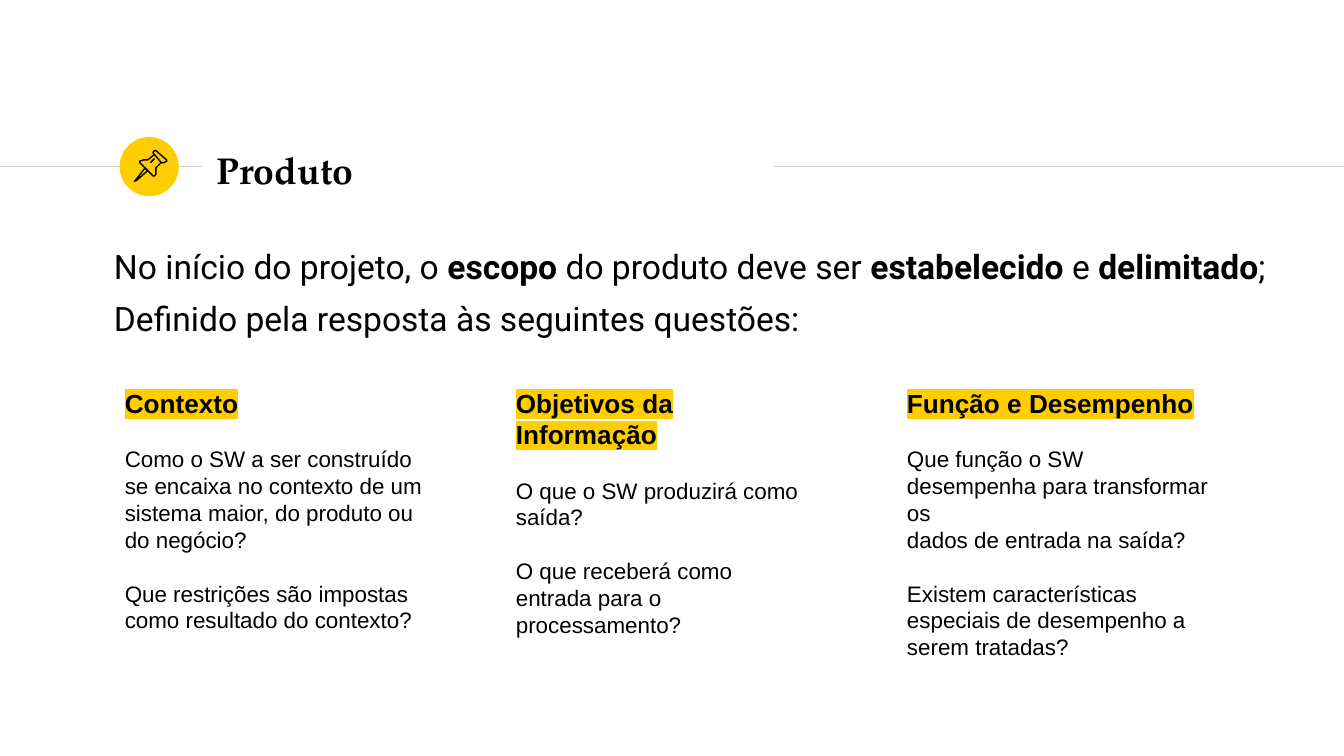
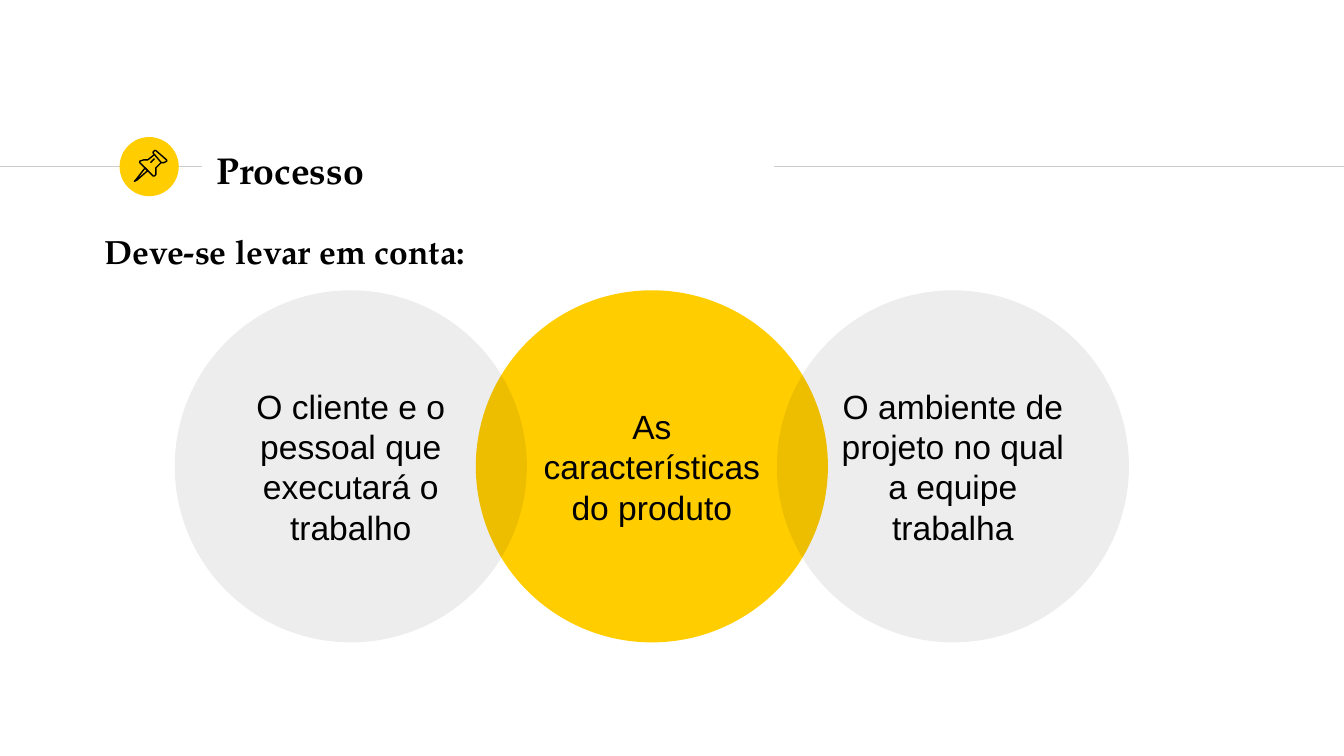
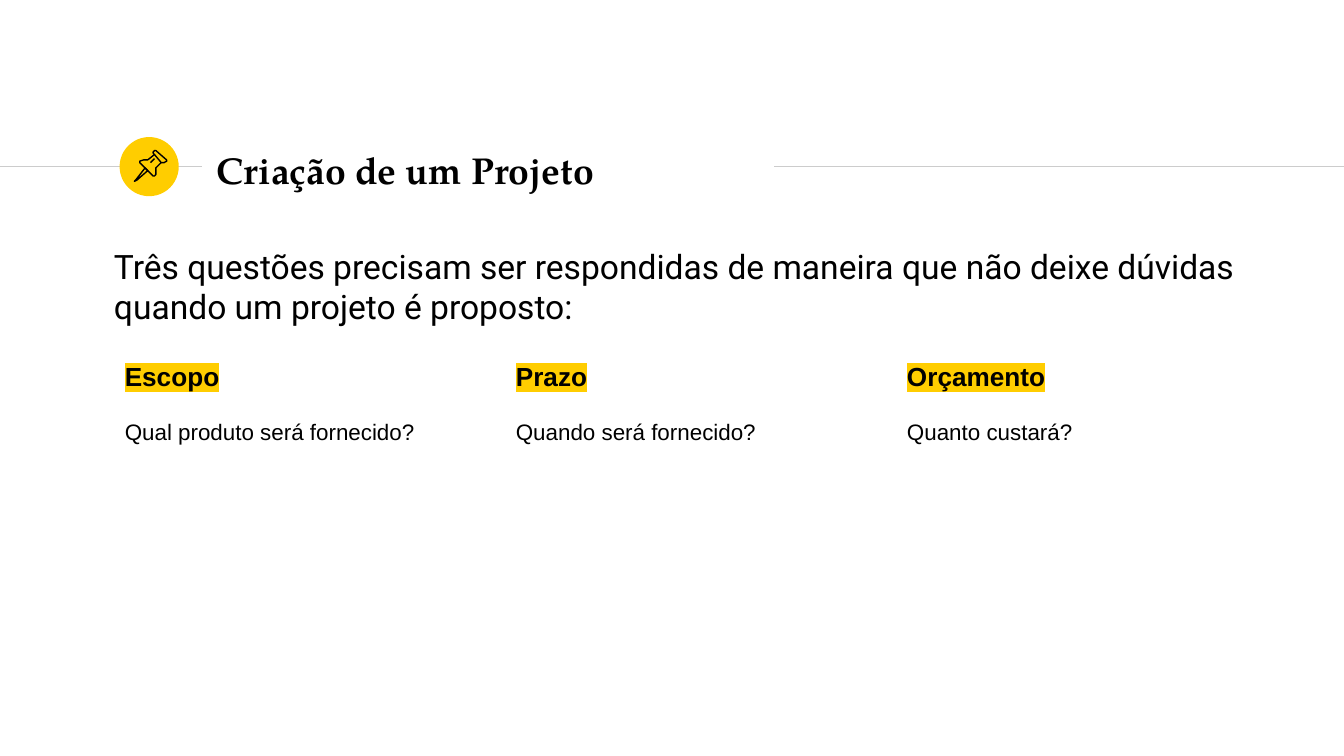
import pptx
import pptx.util
import pptx.dml.color
import pptx.enum.shapes
import pptx.enum.text
import lxml.etree
from pptx.util import Inches

COLORS = {"ink": "000000", "accent": "FFCD00", "rule": "CCCCCC"}
SERIF, SANS, LEAD = "TeX Gyre Pagella", "Arial", "Roboto"
DRAWING = "{http://schemas.openxmlformats.org/drawingml/2006/main}"
ALIGN = pptx.enum.text.PP_ALIGN
ANCHOR = pptx.enum.text.MSO_ANCHOR
OVAL = pptx.enum.shapes.MSO_SHAPE.OVAL


def color(name):
    return pptx.dml.color.RGBColor.from_string(COLORS[name])


def write(box, text, font=SANS, size=12, bold=False, highlight=None, before=0,
          align=ALIGN.LEFT, anchor=ANCHOR.TOP):
    """Add one paragraph to a box; parts between asterisks are bold."""
    frame = box.text_frame
    frame.word_wrap = True
    frame.auto_size = pptx.enum.text.MSO_AUTO_SIZE.NONE
    frame.vertical_anchor = anchor
    frame.margin_left = frame.margin_right = Inches(0.1)
    frame.margin_top = frame.margin_bottom = Inches(0.1)
    para = frame.add_paragraph() if frame.text else frame.paragraphs[0]
    para.alignment = align
    para.space_before = pptx.util.Pt(before)
    for index, part in enumerate(text.split("*")):
        span = para.add_run()
        span.text = part
        span.font.name = font
        span.font.size = pptx.util.Pt(size)
        span.font.bold = bold or index % 2 == 1
        span.font.color.rgb = color("ink")
        if highlight:
            mark = lxml.etree.Element(DRAWING + "highlight")
            lxml.etree.SubElement(mark, DRAWING + "srgbClr", val=COLORS[highlight])
            span.font.fill._xPr.find(DRAWING + "solidFill").addnext(mark)


# Pushpin outlines in hundredths of an inch: points, closed
PIN = [
    ([(108, 125), (101, 134), (100, 135), (102, 134), (110, 127)], True),
    ([(115, 115), (120, 121), (122, 121), (124, 120), (124, 119),
      (116, 112), (115, 112), (114, 113), (114, 114)], True),
    ([(115, 115), (110, 119), (107, 119), (104, 120), (104, 121),
      (114, 131), (115, 131), (116, 130), (116, 125), (120, 121)], False),
    ([(112, 121), (115, 118)], False),
]

# Content: heading, then paragraphs as (text, starts a new block)
SLIDES = [
    {"title": "Produto",
     "lead": ["No início do projeto, o *escopo* do produto deve ser "
              "*estabelecido* e *delimitado*;",
              "Definido pela resposta às seguintes questões:"],
     "top": 2.78,
     "columns": [
         ("Contexto", [
             ("Como o SW a ser construído se encaixa no contexto de um", True),
             ("sistema maior, do produto ou do negócio?", False),
             ("Que restrições são impostas como resultado do contexto?", True)]),
         ("Objetivos da Informação", [
             ("O que o SW produzirá como saída?", True),
             ("O que receberá como entrada para o processamento?", True)]),
         ("Função e Desempenho", [
             ("Que função o SW desempenha para transformar os", True),
             ("dados de entrada na saída?", False),
             ("Existem características especiais de desempenho a", True),
             ("serem tratadas?", False)])]},
    {"title": "Processo",
     "subtitle": "Deve-se levar em conta:",
     "circles": [
         (1, "As características do produto", "accent", None),
         (0, "O cliente e o pessoal que executará o trabalho", "ink", 7),
         (2, "O ambiente de projeto no qual a equipe trabalha", "ink", 7)]},
    {"title": "Criação de um Projeto",
     "lead": ["Três questões precisam ser respondidas de maneira que não deixe "
              "dúvidas quando um projeto é proposto:"],
     "top": 2.58,
     "columns": [("Escopo", [("Qual produto será fornecido?", True)]),
                 ("Prazo", [("Quando será fornecido?", True)]),
                 ("Orçamento", [("Quanto custará?", True)])]},
]

# A 16:9 deck
deck = pptx.Presentation()
deck.slide_width = Inches(10)
deck.slide_height = Inches(10 * 9 / 16)

for content in SLIDES:
    page = deck.slides.add_slide(deck.slide_layouts[5])

    # Header rules and badge
    for start, end in [(0, 1.5), (5.76, 10)]:
        rule = page.shapes.add_connector(
            pptx.enum.shapes.MSO_CONNECTOR.STRAIGHT,
            Inches(start), Inches(1.24), Inches(end), Inches(1.24))
        rule.line.color.rgb = color("rule")
        rule.line.width = pptx.util.Pt(0.75)
        lxml.etree.SubElement(rule._element.spPr, DRAWING + "effectLst")
    badge = page.shapes.add_shape(OVAL, Inches(0.89), Inches(1.02),
                                  Inches(0.44), Inches(0.44))
    badge.shadow.inherit = False
    badge.fill.solid()
    badge.fill.fore_color.rgb = color("accent")
    badge.line.fill.background()

    # Title
    title = page.shapes.title
    title.left, title.top = Inches(1.51), Inches(1.02)
    title.width, title.height = Inches(4.24), Inches(0.48)
    write(title, content["title"], font=SERIF, size=20, bold=True,
          anchor=ANCHOR.MIDDLE)

    # Pushpin
    pin = page.shapes.add_group_shape()
    for points, closed in PIN:
        builder = pin.shapes.build_freeform(*points[0], scale=Inches(0.01))
        builder.add_line_segments(points[1:], close=closed)
        outline = builder.convert_to_shape()
        outline.shadow.inherit = False
        outline.fill.background()
        outline.line.color.rgb = color("ink")
        outline.line.width = pptx.util.Pt(0.75)

    # Lead text
    if "lead" in content:
        lead = page.shapes.add_textbox(Inches(0.75), Inches(1.73),
                                       Inches(8.9), Inches(2.41))
        for text in content["lead"]:
            write(lead, text, font=LEAD, size=18, before=6)

    # Question columns
    for index, (heading, lines) in enumerate(content.get("columns", [])):
        column = page.shapes.add_textbox(
            Inches(0.83 + 2.91 * index), Inches(content["top"]),
            Inches(2.36 if index == 1 else 2.52), Inches(2.63))
        write(column, heading, size=14, bold=True, highlight="accent")
        for text, new_block in lines:
            write(column, text, before=14.4 if new_block else 0)

    # Overlapping circles
    for place, text, fill, opacity in content.get("circles", []):
        circle = page.shapes.add_shape(OVAL, Inches(1.3 + 2.24 * place), Inches(2.16),
                                       Inches(2.62), Inches(2.62))
        circle.shadow.inherit = False
        circle.fill.solid()
        circle.fill.fore_color.rgb = color(fill)
        circle.line.fill.background()
        if opacity:
            tint = circle._element.spPr.find(DRAWING + "solidFill")[0]
            lxml.etree.SubElement(tint, DRAWING + "alpha", val=str(opacity * 1000))
        write(circle, text, size=18, align=ALIGN.CENTER, anchor=ANCHOR.MIDDLE)

    # Subtitle
    if "subtitle" in content:
        subtitle = page.shapes.add_textbox(Inches(0.68), Inches(1.63),
                                           Inches(4.24), Inches(0.48))
        write(subtitle, content["subtitle"], font=SERIF, size=18, bold=True,
              anchor=ANCHOR.MIDDLE)

deck.save("out.pptx")
